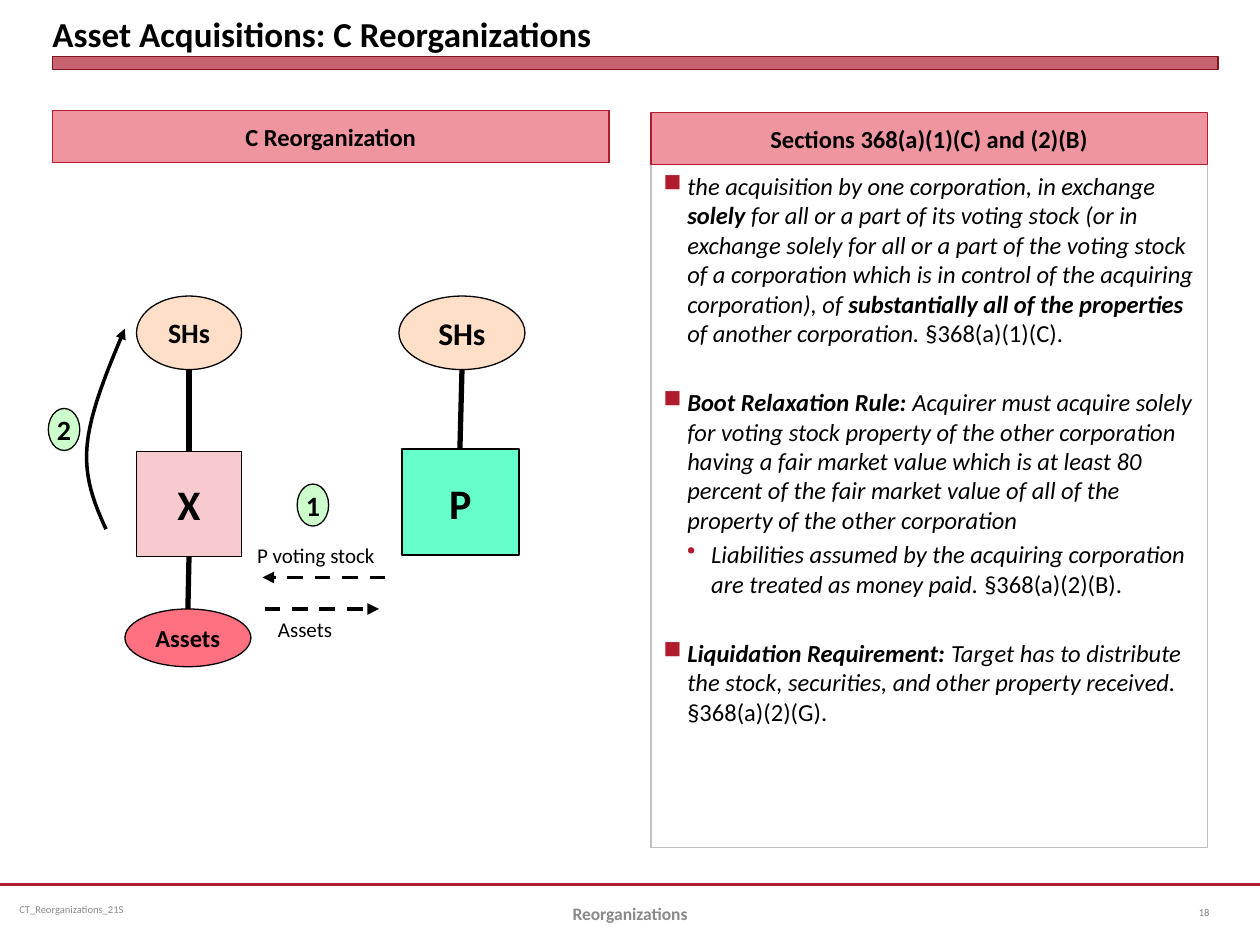
from dataclasses import dataclass
from typing import NamedTuple

from lxml import etree
from pptx import Presentation
from pptx import util as u
from pptx.dml import color as c
from pptx.enum import dml, shapes, text
from pptx.oxml import ns

COLUMNS, ROWS = 120, 90
CELL = u.Inches(10) // COLUMNS


@dataclass(frozen=True)
class Theme:
    font: str = "Calibri"
    black: str = "000000"
    white: str = "FFFFFF"
    gray: str = "898989"
    page_gray: str = "808080"
    border: str = "C0C0C0"
    crimson: str = "B01C2E"
    dark_crimson: str = "821522"
    header: str = "EE95A0"
    holders: str = "FFDFC8"
    target: str = "F7CAD0"
    acquirer: str = "66FFCC"
    assets: str = "FF7081"
    badge: str = "CCFFCC"
    tiny: float = 6
    footer: float = 10
    label: float = 12
    body: float = 14
    node: float = 16
    large: float = 18
    title: float = 20
    entity: float = 24


THEME = Theme()
RECT, OVAL = shapes.MSO_SHAPE.RECTANGLE, shapes.MSO_SHAPE.OVAL
LEFT, CENTER = text.PP_ALIGN.LEFT, text.PP_ALIGN.CENTER
TOP, MIDDLE, BOTTOM = text.MSO_ANCHOR.TOP, text.MSO_ANCHOR.MIDDLE, text.MSO_ANCHOR.BOTTOM


class Area(NamedTuple):
    column: float
    row: float
    columns: float
    rows: float


class Node(NamedTuple):
    words: str
    kind: shapes.MSO_SHAPE
    area: Area
    fill: str
    size: float
    line: str = THEME.black
    weight: float = 0.75
    wrap: bool = False


class Label(NamedTuple):
    words: str
    area: Area
    size: float
    color: str = THEME.black
    bold: bool = False
    align: text.PP_ALIGN = LEFT
    anchor: text.MSO_ANCHOR = MIDDLE
    wrap: bool = True
    inset: float = 0.1


class Link(NamedTuple):
    start: tuple[float, float]
    end: tuple[float, float]
    weight: float = 3
    color: str = THEME.black
    arrow: bool = False


class Phrase(NamedTuple):
    words: str
    bold: bool = False
    italic: bool = True


class Bullet(NamedTuple):
    phrases: list[Phrase]
    level: int = 0
    before: float = 0


GAP = 22.7
NODES = [
    Node("C Reorganization", RECT, Area(5, 10.5, 53, 5), THEME.header, THEME.body, THEME.crimson, wrap=True),
    Node("Sections 368(a)(1)(C) and (2)(B)", RECT, Area(62, 10.7, 53, 5), THEME.header, THEME.body,
         THEME.crimson, wrap=True),
    Node("P", RECT, Area(38.3, 42.8, 11.1, 10.1), THEME.acquirer, THEME.entity, weight=1),
    Node("SHs", OVAL, Area(38, 28.2, 12, 7), THEME.holders, THEME.large),
    Node("X", RECT, Area(13, 43, 10, 10), THEME.target, THEME.entity, weight=1),
    Node("SHs", OVAL, Area(13, 28.2, 10, 7), THEME.holders, THEME.node),
    Node("Assets", OVAL, Area(11.9, 58, 12, 5.5), THEME.assets, THEME.body),
    Node("1", OVAL, Area(28.3, 46.1, 3, 4), THEME.badge, THEME.node),
    Node("2", OVAL, Area(4.6, 38.9, 3, 4), THEME.badge, THEME.node),
]
LABELS = [
    Label("Asset Acquisitions: C Reorganizations", Area(5, 0, 111, 5.2), THEME.title, bold=True,
          anchor=BOTTOM, inset=0),
    Label("P voting stock", Area(23.3, 51.1, 13.8, 3.6), THEME.label, anchor=TOP, wrap=False),
    Label("Assets", Area(25.3, 58.1, 7.7, 3.6), THEME.label, anchor=TOP, wrap=False),
    Label("CT_Reorganizations_21S", Area(1, 84.25, 31, 4.8), THEME.tiny, THEME.gray, inset=0.07),
    Label("Reorganizations", Area(41, 84.6, 38, 4.8), THEME.footer, THEME.gray, True, CENTER),
    Label("18", Area(113, 84.5, 6, 4.8), THEME.tiny, THEME.page_gray),
]
LINKS = [
    Link((0, 84.25), (COLUMNS, 84.25), 1.25, THEME.crimson),
    Link((44, 35.2), (43.8, 42.8)),
    Link((18, 35.2), (18, 43)),
    Link((18, 53), (17.9, 58)),
    Link((36.7, 55), (25, 55), 2.25, arrow=True),
    Link((25.2, 58), (36.1, 58), 2.25, arrow=True),
]
CURVE = [
    [(10.1, 50.4), (9, 48), (8, 45.5), (8.3, 42.4)],
    [(8.3, 42.4), (8.6, 39.2), (10.2, 35.3), (11.9, 31.3)],
]
BULLETS = [
    Bullet([
        Phrase("the acquisition by one corporation, in exchange "),
        Phrase("solely", True),
        Phrase(" for all or a part of its voting stock (or in exchange solely for all or a part of the voting "
               "stock of a corporation which is in control of the acquiring corporation), of "),
        Phrase("substantially all of the properties ", True),
        Phrase("of another corporation. "),
        Phrase("§368(a)(1)(C).", italic=False),
    ]),
    Bullet([
        Phrase("Boot Relaxation Rule: ", True),
        Phrase("Acquirer must acquire solely for voting stock property of the other corporation having a fair "
               "market value which is at least 80 percent of the fair market value of all of the property of "
               "the other corporation"),
    ], before=GAP),
    Bullet([
        Phrase("Liabilities assumed by the acquiring corporation are treated as money paid. "),
        Phrase("§368(a)(2)(B).", italic=False),
    ], level=1, before=2.8),
    Bullet([
        Phrase("Liquidation Requirement: ", True),
        Phrase("Target has to distribute the stock, securities, and other property received. "),
        Phrase("§368(a)(2)(G).", italic=False),
    ], before=GAP),
]


def grid(*cells: float) -> list[int]:
    return [round(cell * CELL) for cell in cells]


def rgb(value: str) -> c.RGBColor:
    return c.RGBColor.from_string(value)


def add_child(parent, tag: str, **attributes: str):
    return etree.SubElement(parent, ns.qn(tag), attributes)


def style_font(font, size: float, color: str, bold: bool = False, italic: bool = False) -> None:
    font.name, font.size = THEME.font, u.Pt(size)
    font.bold, font.italic, font.color.rgb = bold, italic, rgb(color)


def style_line(line, color: str, weight: float) -> None:
    line.color.rgb, line.width = rgb(color), u.Pt(weight)


def write(frame, words: str, size: float, color: str, bold: bool, align, anchor, wrap: bool) -> None:
    frame.text, frame.word_wrap, frame.vertical_anchor = words, wrap, anchor
    para = frame.paragraphs[0]
    para.alignment = align
    style_font(para.runs[0].font, size, color, bold)


def draw_box(page, kind, area: Area, fill: str, line: str, weight: float):
    box = page.shapes.add_shape(kind, *grid(*area))
    box.shadow.inherit = False
    box.fill.solid()
    box.fill.fore_color.rgb = rgb(fill)
    style_line(box.line, line, weight)
    return box


def draw_node(page, node: Node) -> None:
    box = draw_box(page, node.kind, node.area, node.fill, node.line, node.weight)
    write(box.text_frame, node.words, node.size, THEME.black, True, CENTER, MIDDLE, node.wrap)


def draw_label(page, label: Label) -> None:
    frame = page.shapes.add_textbox(*grid(*label.area)).text_frame
    frame.margin_left = frame.margin_right = u.Inches(label.inset)
    frame.margin_top = frame.margin_bottom = u.Inches(label.inset / 2)
    write(frame, label.words, label.size, label.color, label.bold, label.align, label.anchor, label.wrap)


def draw_link(page, link: Link) -> None:
    connector = page.shapes.add_connector(shapes.MSO_CONNECTOR.STRAIGHT, *grid(*link.start, *link.end))
    style_line(connector.line, link.color, link.weight)
    if link.arrow:
        connector.line.dash_style = dml.MSO_LINE.DASH
        add_child(connector.line._get_or_add_ln(), "a:tailEnd", type="triangle")
    add_child(connector._element.spPr, "a:effectLst")


def draw_curve(page, segments, steps: int = 12) -> None:
    points = []
    for segment in segments:
        for t in (step / steps for step in range(1, steps + 1)):
            weights = ((1 - t) ** 3, 3 * t * (1 - t) ** 2, 3 * t * t * (1 - t), t ** 3)
            points.append(grid(*(sum(w * p[axis] for w, p in zip(weights, segment)) for axis in (0, 1))))
    builder = page.shapes.build_freeform(*grid(*segments[0][0]))
    builder.add_line_segments(points, close=False)
    arrow = builder.convert_to_shape()
    arrow.shadow.inherit = False
    arrow.fill.background()
    style_line(arrow.line, THEME.black, 2)
    add_child(arrow.line._get_or_add_ln(), "a:tailEnd", type="triangle")


def draw_bullets(page, area: Area, bullets: list[Bullet]) -> None:
    frame = draw_box(page, RECT, area, THEME.white, THEME.border, 0.75).text_frame
    frame.word_wrap, frame.vertical_anchor = True, TOP
    indent = u.Inches(0.19)
    for index, bullet in enumerate(bullets):
        para = frame.add_paragraph() if index else frame.paragraphs[0]
        para.alignment, para.level = LEFT, bullet.level
        if bullet.before:
            para.space_before = u.Pt(bullet.before)
        properties = para._p.get_or_add_pPr()
        properties.set("marL", str(indent * (bullet.level + 1)))
        properties.set("indent", str(-indent))
        add_child(add_child(properties, "a:buClr"), "a:srgbClr", val=THEME.crimson)
        add_child(properties, "a:buChar", char="■•"[bullet.level])
        for phrase in bullet.phrases:
            span = para.add_run()
            span.text = phrase.words
            style_font(span.font, THEME.body, THEME.black, phrase.bold, phrase.italic)


def main() -> None:
    deck = Presentation()
    deck.slide_width, deck.slide_height = grid(COLUMNS, ROWS)
    page = deck.slides.add_slide(deck.slide_layouts[6])
    bar = draw_box(page, RECT, Area(5, 5.4, 111, 1.2), THEME.crimson, THEME.dark_crimson, 0)
    add_child(bar._element.spPr.find(".//" + ns.qn("a:srgbClr")), "a:alpha", val="69000")
    draw_bullets(page, Area(62, 15.7, 53, 65), BULLETS)
    for draw, items in ((draw_link, LINKS), (draw_node, NODES), (draw_label, LABELS)):
        for item in items:
            draw(page, item)
    draw_curve(page, CURVE)
    deck.save("out.pptx")


if __name__ == "__main__":
    main()
